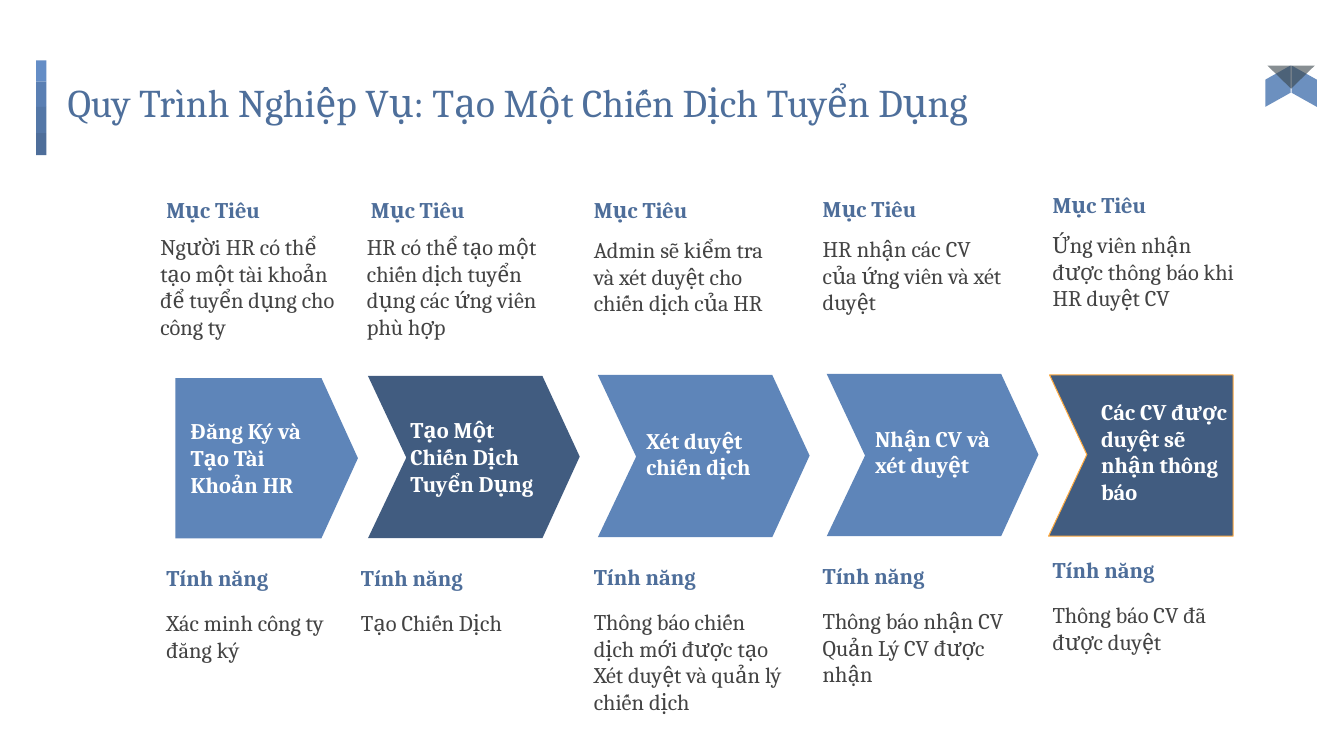
"""Build the recruitment campaign process slide."""
from dataclasses import dataclass

import lxml.etree
import pptx
import pptx.dml.color
import pptx.enum.shapes
import pptx.enum.text
import pptx.oxml.ns
import pptx.presentation
import pptx.shapes.autoshape
import pptx.shapes.base
import pptx.slide
import pptx.text.text
import pptx.util

Inches = pptx.util.Inches
Pt = pptx.util.Pt
RGBColor = pptx.dml.color.RGBColor
Anchor = pptx.enum.text.MSO_ANCHOR
Preset = pptx.enum.shapes.MSO_SHAPE
Point = tuple[float, float]

FONT = "Cambria"
WHITE = RGBColor(0xFF, 0xFF, 0xFF)
TITLE_BLUE = RGBColor(0x4E, 0x6F, 0x9B)
HEADING_BLUE = RGBColor(0x4E, 0x6E, 0x9A)
BODY_GRAY = RGBColor(0x43, 0x43, 0x43)
STEP_LIGHT = RGBColor(0x5E, 0x85, 0xB9)
STEP_DARK = RGBColor(0x41, 0x5C, 0x80)
OUTLINE_ORANGE = RGBColor(0xFF, 0xAB, 0x40)
SLATE = RGBColor(0x38, 0x44, 0x4A)
BAR_STRIPES = (
    (0.21, RGBColor(0x64, 0x8D, 0xC6)),
    (0.25, RGBColor(0x5A, 0x7F, 0xB3)),
    (0.26, RGBColor(0x54, 0x77, 0xA7)),
    (0.22, RGBColor(0x4E, 0x6E, 0x9A)),
)
CHEVRON = ((0, 0), (1.73, 0), (2.1, 0.8), (1.73, 1.61), (0, 1.61), (0.38, 0.81))
END_BLOCK = ((0, 1.6), (0.38, 0.79), (0.01, 0), (1.83, 0), (1.83, 1.6))


@dataclass(frozen=True)
class Step:
    """One stage: its label, goal and feature, with (left, top) places."""

    label: str
    label_at: Point
    goal: str
    goal_heading_at: Point
    goal_at: Point
    feature: str
    feature_at: Point
    goal_width: float = 2.04


@dataclass(frozen=True)
class Arrow:
    """A freeform step arrow."""

    left: float
    top: float
    outline: tuple[Point, ...]
    fill: RGBColor
    line: RGBColor | None = None


@dataclass(frozen=True)
class Facet:
    """One translucent piece of the corner ornament."""

    preset: Preset
    left: float
    top: float
    width: float
    height: float
    rotation: float
    adjustment: float
    fill: RGBColor
    opacity: int
    mirrored: bool = False


STEPS = (
    Step("Đăng Ký và Tạo Tài Khoản HR", (1.76, 4.12),
         "Người HR có thể tạo một tài khoản để tuyển dụng cho công ty",
         (1.52, 1.82), (1.46, 2.18), "Xác minh công ty đăng ký", (1.52, 5.47)),
    Step("Tạo Một Chiến Dịch Tuyển Dụng", (3.94, 4.11),
         "HR có thể tạo một chiến dịch tuyển dụng các ứng viên phù hợp",
         (3.55, 1.82), (3.51, 2.18), "Tạo Chiến Dịch", (3.45, 5.47)),
    Step("Xét duyệt chiến dịch", (6.28, 4.08),
         "Admin sẽ kiểm tra và xét duyệt cho chiến dịch của HR",
         (5.76, 1.82), (5.76, 2.21),
         "Thông báo chiến dịch mới được tạo\vXét duyệt và quản lý chiến dịch", (5.76, 5.46)),
    Step("Nhận CV và xét duyệt", (8.55, 4.06),
         "HR nhận các CV của ứng viên và xét duyệt",
         (8.03, 1.81), (8.03, 2.2),
         "Thông báo nhận CV\nQuản Lý CV được nhận", (8.03, 5.45)),
    Step("Các CV được duyệt sẽ nhận thông báo", (10.79, 4.06),
         "Ứng viên nhận được thông báo khi HR duyệt CV",
         (10.31, 1.77), (10.31, 2.16), "Thông báo CV đã được duyệt", (10.31, 5.39), 2.1),
)
ARROWS = (
    Arrow(3.65, 3.73, CHEVRON, STEP_DARK),
    Arrow(5.93, 3.72, CHEVRON, STEP_LIGHT),
    Arrow(8.2, 3.71, CHEVRON, STEP_LIGHT),
    Arrow(10.4, 3.72, END_BLOCK, STEP_DARK, OUTLINE_ORANGE),
)
FACETS = (
    Facet(Preset.PARALLELOGRAM, 12.73, 0.73, 0.41, 0.25, 90, 0.56, STEP_LIGHT, 91),
    Facet(Preset.PARALLELOGRAM, 12.47, 0.73, 0.41, 0.25, 90, 0.56, STEP_LIGHT, 91, True),
    Facet(Preset.ISOSCELES_TRIANGLE, 12.57, 0.65, 0.47, 0.23, 180, 0.5, SLATE, 60),
)


def write_text(frame: pptx.text.text.TextFrame, text: str, size: float,
               color: RGBColor, bold: bool = False, anchor: Anchor = Anchor.TOP) -> None:
    """Fill a text frame and format its runs."""
    frame.word_wrap = True
    frame.auto_size = pptx.enum.text.MSO_AUTO_SIZE.NONE
    frame.vertical_anchor = anchor
    frame.margin_left = frame.margin_right = Inches(0.13)
    frame.margin_top = frame.margin_bottom = Inches(0.13)
    frame.text = text
    for para in frame.paragraphs:
        para.alignment = pptx.enum.text.PP_ALIGN.LEFT
        for span in para.runs:
            span.font.name = FONT
            span.font.size = Pt(size)
            span.font.bold = bold
            span.font.color.rgb = color


def add_text(page: pptx.slide.Slide, text: str, place: Point, width: float, height: float,
             color: RGBColor, bold: bool = False, anchor: Anchor = Anchor.TOP) -> None:
    """Add a text box in the slide's 16 point size."""
    box = page.shapes.add_textbox(Inches(place[0]), Inches(place[1]), Inches(width), Inches(height))
    write_text(box.text_frame, text, 16, color, bold, anchor)


def paint(shape: pptx.shapes.autoshape.Shape, fill: RGBColor, line: RGBColor | None = None) -> None:
    """Give a shape a flat fill and an optional thin outline."""
    shape.shadow.inherit = False
    shape.fill.solid()
    shape.fill.fore_color.rgb = fill
    if line is None:
        shape.line.fill.background()
    else:
        shape.line.color.rgb = line
        shape.line.width = Pt(0.75)


def add_preset(page: pptx.slide.Slide, preset: Preset, left: float, top: float, width: float,
               height: float, fill: RGBColor, rotation: float = 0) -> pptx.shapes.autoshape.Shape:
    """Add a flat preset shape."""
    shape = page.shapes.add_shape(preset, Inches(left), Inches(top), Inches(width), Inches(height))
    shape.rotation = rotation
    paint(shape, fill)
    return shape


def add_arrow(page: pptx.slide.Slide, arrow: Arrow) -> None:
    """Draw a step arrow from its outline."""
    points = [(Inches(arrow.left + x), Inches(arrow.top + y)) for x, y in arrow.outline]
    builder = page.shapes.build_freeform(*points[0])
    builder.add_line_segments(points[1:], close=True)
    paint(builder.convert_to_shape(), arrow.fill, arrow.line)


def add_facet(page: pptx.slide.Slide, facet: Facet) -> None:
    """Draw one translucent ornament piece."""
    shape = add_preset(page, facet.preset, facet.left, facet.top, facet.width, facet.height,
                       facet.fill, facet.rotation)
    shape.adjustments[0] = facet.adjustment
    qualified = pptx.oxml.ns.qn
    color = shape.element.spPr.find(qualified("a:solidFill")).find(qualified("a:srgbClr"))
    lxml.etree.SubElement(color, qualified("a:alpha")).set("val", str(facet.opacity * 1000))
    if facet.mirrored:
        shape.element.spPr.find(qualified("a:xfrm")).set("flipH", "1")


def add_step(page: pptx.slide.Slide, step: Step) -> None:
    """Write the label, goal and feature of a step."""
    add_text(page, step.label, step.label_at, 1.61, 0.84, WHITE, True, Anchor.MIDDLE)
    add_text(page, "Mục Tiêu", step.goal_heading_at, 1.93, 0.53, HEADING_BLUE, True)
    add_text(page, step.goal, step.goal_at, step.goal_width, 1.29, BODY_GRAY)
    left, top = step.feature_at
    add_text(page, "Tính năng", step.feature_at, 1.92, 0.46, HEADING_BLUE, True)
    add_text(page, step.feature, (left, top + 0.44), 2.14, 1.12, BODY_GRAY)


def main() -> None:
    """Build and save the deck."""
    deck = pptx.Presentation()
    deck.slide_width, deck.slide_height = Inches(13.33), Inches(7.5)
    page = deck.slides.add_slide(deck.slide_layouts[5])
    title = page.shapes.title
    title.left, title.top = Inches(0.54), Inches(0.65)
    title.width, title.height = Inches(12.34), Inches(0.84)
    write_text(title.text_frame, "Quy Trình Nghiệp Vụ: Tạo Một Chiến Dịch Tuyển Dụng", 28, TITLE_BLUE)
    stripe_top = 0.6
    for height, color in BAR_STRIPES:
        add_preset(page, Preset.RECTANGLE, 0.36, stripe_top, 0.1, height, color)
        stripe_top += height
    for facet in FACETS:
        add_facet(page, facet)
    add_preset(page, Preset.FLOWCHART_OFFPAGE_CONNECTOR, 1.85, 3.64, 1.59, 1.81, STEP_LIGHT, 270)
    for arrow in ARROWS:
        add_arrow(page, arrow)
    for step in STEPS:
        add_step(page, step)
    deck.save("out.pptx")


if __name__ == "__main__":
    main()
